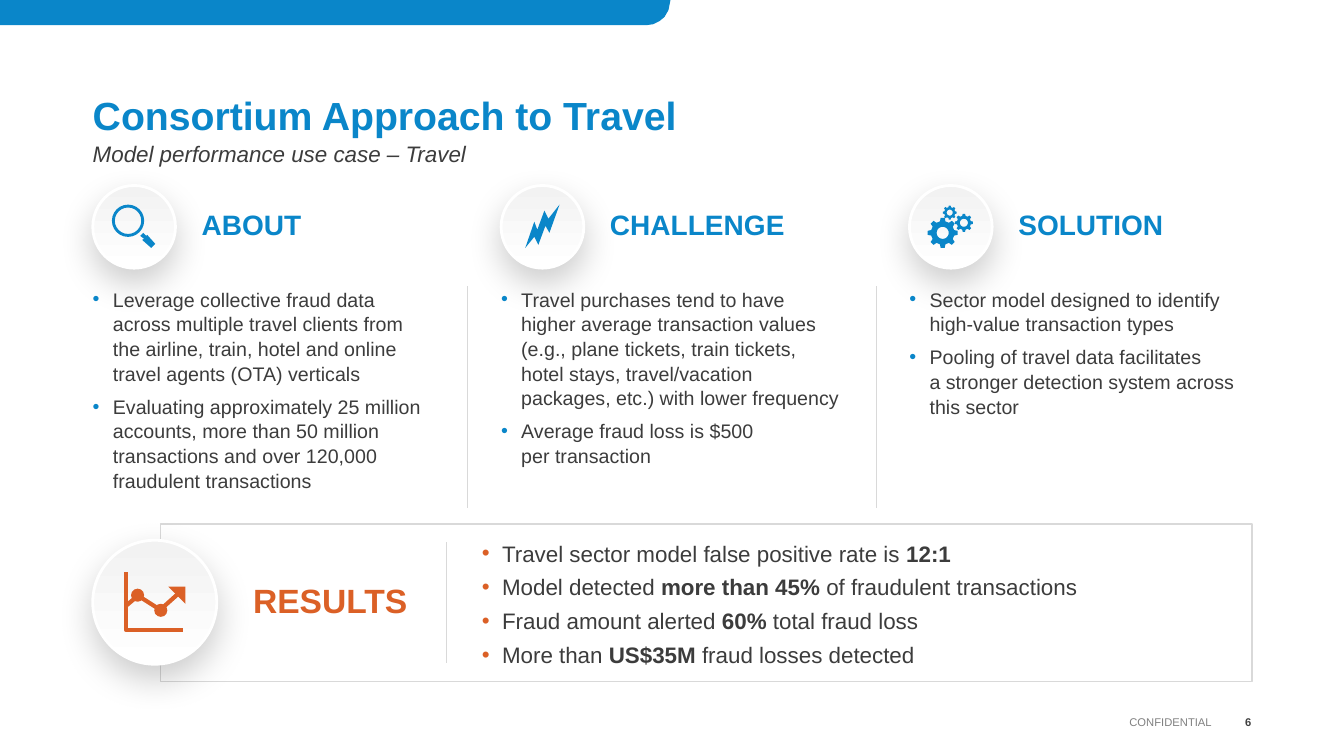
from dataclasses import dataclass
from math import cos, pi, sin

from lxml.etree import SubElement
from pptx import Presentation
from pptx.dml.color import RGBColor as Rgb
from pptx.enum.shapes import MSO_CONNECTOR as Conn, MSO_SHAPE as Kind
from pptx.enum.text import MSO_ANCHOR as Anchor, PP_ALIGN as Align
from pptx.oxml.ns import qn
from pptx.util import Inches, Pt


@dataclass(frozen=True)
class Theme:
    """Colours, type sizes and font of the slide."""
    blue: str = "0A86C9"
    rust: str = "DB6026"
    ink: str = "3C3C3C"
    dark: str = "404040"
    gray: str = "808080"
    rule: str = "D9D9D9"
    pale: str = "F2F2F2"
    white: str = "FFFFFF"
    title: int = 28
    result: int = 24
    head: int = 20
    lead: int = 16
    body: int = 14
    foot: int = 8
    font: str = "Arial"


def put(item, **vals):
    """Set each given value on the item."""
    for name, val in vals.items():
        setattr(item, name, val)


def gear(x, y, size, hole, teeth=8):
    """Return the toothed outline and the round hole of a gear."""
    step = 2 * pi / teeth
    marks = [(-0.3, 0.78), (-0.17, 1), (0.17, 1), (0.3, 0.78)]
    rim = [(x + size * far * cos((n + turn) * step), y + size * far * sin((n + turn) * step))
           for n in range(teeth) for turn, far in marks]
    ring = [(x + hole * cos(n * pi / 12), y - hole * sin(n * pi / 12)) for n in range(24)]
    return [rim, ring]


class Deck:
    """Draws styled elements on the current slide."""

    def __init__(self, theme):
        """Start a deck with one blank slide."""
        self.theme = theme
        self.prs = Presentation()
        put(self.prs, slide_width=Inches(13.33), slide_height=Inches(7.5))
        self.shapes = self.prs.slides.add_slide(self.prs.slide_layouts[6]).shapes

    def paint(self, shape, fill=None, line=None, width=1):
        """Give a shape its fill and line without a shadow."""
        shape.shadow.inherit = False
        if fill:
            shape.fill.solid()
            shape.fill.fore_color.rgb = Rgb.from_string(fill)
        else:
            shape.fill.background()
        if line:
            shape.line.color.rgb = Rgb.from_string(line)
            shape.line.width = Pt(width)
        else:
            shape.line.fill.background()
        return shape

    def form(self, kind, box, **look):
        """Add a preset shape."""
        return self.paint(self.shapes.add_shape(kind, *map(Inches, box)), **look)

    def free(self, rings, close=True, **look):
        """Add an outline made of one or more rings of points."""
        pen = None
        for ring in rings:
            first, *rest = [(Inches(x), Inches(y)) for x, y in ring]
            if pen:
                pen.move_to(*first)
            else:
                pen = self.shapes.build_freeform(*first)
            pen.add_line_segments(rest, close=close)
        return self.paint(pen.convert_to_shape(), **look)

    def rule(self, x, top, low):
        """Add a thin upright line."""
        line = self.shapes.add_connector(Conn.STRAIGHT, *map(Inches, (x, top, x, low)))
        line.line.color.rgb = Rgb.from_string(self.theme.rule)
        line.line.width = Pt(0.5)
        SubElement(line._element.spPr, qn("a:effectLst"))

    def badge(self, x, y, size):
        """Add a soft round badge with a shadow."""
        disc = self.form(Kind.OVAL, (x, y, size, size), line=self.theme.white, width=2)
        disc.fill.gradient()
        disc.fill.gradient_angle = 90
        for stop, tone in zip(disc.fill.gradient_stops, (self.theme.white, self.theme.pale)):
            stop.color.rgb = Rgb.from_string(tone)
        glow = SubElement(disc._element.spPr.find(qn("a:effectLst")), qn("a:outerShdw"),
                          blurRad=str(Pt(25)), dist=str(Pt(10)), dir="5400000",
                          algn="t", rotWithShape="0")
        tint = SubElement(glow, qn("a:srgbClr"), val="000000")
        SubElement(tint, qn("a:alpha"), val="20000")

    def text(self, box, paras, size, tone, bold=False, italic=False, dot=None,
             gap=0, space=1.0, low=0, anchor=Anchor.TOP, align=Align.LEFT):
        """Add text, with bold parts between asterisks."""
        frame = self.shapes.add_textbox(*map(Inches, box)).text_frame
        put(frame, word_wrap=True, vertical_anchor=anchor, margin_left=0,
            margin_right=0, margin_top=0, margin_bottom=Inches(low))
        for num, words in enumerate(paras):
            para = frame.add_paragraph() if num else frame.paragraphs[0]
            put(para, alignment=align, line_spacing=space, space_before=Pt(gap))
            if dot:
                self.bullet(para, dot)
            for odd, part in enumerate(words.split("*")):
                for row, piece in enumerate(part.split("\n")):
                    if row:
                        para.add_line_break()
                        SubElement(para._p[-1], qn("a:rPr"), sz=str(size * 100))
                    if piece:
                        run = para.add_run()
                        run.text = piece
                        put(run.font, name=self.theme.font, size=Pt(size),
                            bold=bold or odd % 2 == 1, italic=italic)
                        run.font.color.rgb = Rgb.from_string(tone)

    def bullet(self, para, tone):
        """Give a paragraph a coloured bullet and a hanging indent."""
        props = para._p.get_or_add_pPr()
        props.set("marL", str(Inches(0.2)))
        props.set("indent", str(-Inches(0.2)))
        SubElement(SubElement(props, qn("a:buClr")), qn("a:srgbClr"), val=tone)
        SubElement(props, qn("a:buFont"), typeface=self.theme.font)
        SubElement(props, qn("a:buChar"), char="•")

    def column(self, x, head, points):
        """Add a badge, its heading and its bullet list."""
        look = self.theme
        self.badge(x, 1.84, 0.82)
        self.text((x + 1.08, 2.05, 2.31, 0.39), [head], look.head, look.blue,
                  bold=True, low=0.05, anchor=Anchor.MIDDLE)
        self.text((x, 2.84, 3.4, 1.97), points, look.body, look.ink,
                  dot=look.blue, gap=6, space=1.05)

    def lens(self):
        """Draw the magnifier icon."""
        ring = self.form(Kind.DONUT, (1.11, 2.03, 0.32, 0.32), fill=self.theme.blue)
        ring.adjustments[0] = 0.09
        self.free([[(1.39, 2.34), (1.42, 2.31), (1.45, 2.34), (1.46, 2.33), (1.54, 2.42),
                    (1.5, 2.46), (1.41, 2.38), (1.43, 2.37)]], fill=self.theme.blue)

    def bolt(self):
        """Draw the lightning icon."""
        self.free([[(5.4, 2.09), (5.33, 2.28), (5.3, 2.2), (5.21, 2.46), (5.3, 2.35),
                    (5.34, 2.43), (5.41, 2.24), (5.45, 2.31), (5.55, 2.03),
                    (5.44, 2.17)]], fill=self.theme.blue)

    def gears(self):
        """Draw the icon of three gears."""
        for spot in ((9.35, 2.31, 0.15, 0.06), (9.56, 2.21, 0.09, 0.04), (9.42, 2.11, 0.07, 0.03)):
            self.free(gear(*spot), fill=self.theme.blue)

    def trend(self):
        """Draw the rising chart icon."""
        rust = self.theme.rust
        for track in ([(1.25, 5.68), (1.25, 6.25), (1.82, 6.25)],
                      [(1.25, 6.01), (1.37, 5.91), (1.59, 6.05), (1.78, 5.88)]):
            self.free([track], close=False, line=rust, width=3)
        for x, y in ((1.3, 5.84), (1.53, 5.99)):
            self.form(Kind.OVAL, (x, y, 0.13, 0.13), fill=rust)
        self.free([[(1.67, 5.82), (1.84, 5.82), (1.84, 5.99)]], fill=rust)


def main():
    """Build the slide and save it."""
    look = Theme()
    deck = Deck(look)
    deck.free([[(0, 0), (6.65, 0), (6.63, 0.1), (6.59, 0.17), (6.54, 0.21),
                (6.48, 0.24), (6.41, 0.25), (0, 0.25)]], fill=look.blue)
    deck.text((0.92, 0.79, 11.5, 0.59), ["Consortium Approach to Travel"], look.title,
              look.blue, bold=True, space=0.9, anchor=Anchor.BOTTOM)
    deck.text((0.92, 1.38, 11.5, 0.39), ["Model performance use case – Travel"],
              look.lead, look.ink, italic=True, space=1.05)

    columns = [
        ("ABOUT", deck.lens, [
            "Leverage collective fraud data across multiple travel clients from\n"
            "the airline, train, hotel and online travel agents (OTA) verticals",
            "Evaluating approximately 25 million accounts, more than 50 million "
            "transactions and over 120,000 fraudulent transactions"]),
        ("CHALLENGE", deck.bolt, [
            "Travel purchases tend to have higher average transaction values "
            "(e.g., plane tickets, train tickets, hotel stays, travel/vacation "
            "packages, etc.) with lower frequency",
            "Average fraud loss is $500\nper transaction"]),
        ("SOLUTION", deck.gears, [
            "Sector model designed to identify high-value transaction types",
            "Pooling of travel data facilitates\na stronger detection system across this sector"]),
    ]
    for num, (head, icon, points) in enumerate(columns):
        x = 0.92 + 4.05 * num
        deck.column(x, head, points)
        icon()
        if num:
            deck.rule(x - 0.33, 2.84, 5.04)

    deck.form(Kind.RECTANGLE, (1.59, 5.2, 10.83, 1.56), fill=look.white, line=look.rule)
    deck.badge(0.92, 5.36, 1.23)
    deck.trend()
    deck.rule(4.43, 5.38, 6.58)
    deck.text((2.51, 5.75, 1.58, 0.45), ["RESULTS"], look.result, look.rust,
              bold=True, low=0.05, anchor=Anchor.MIDDLE)
    deck.text((4.78, 5.36, 7.2, 1.25), [
        "Travel sector model false positive rate is *12:1*",
        "Model detected *more than 45% *of fraudulent transactions",
        "Fraud amount alerted *60% *total fraud loss",
        "More than *US$35M *fraud losses detected",
    ], look.lead, look.ink, dot=look.rust, gap=4, space=1.05, anchor=Anchor.MIDDLE)

    foot = {"anchor": Anchor.MIDDLE, "align": Align.RIGHT}
    deck.text((4.78, 7.06, 7.24, 0.2), ["CONFIDENTIAL"], look.foot, look.gray, **foot)
    deck.text((12.02, 7.06, 0.39, 0.2), ["6"], look.foot, look.dark, bold=True, **foot)
    deck.prs.save("out.pptx")


if __name__ == "__main__":
    main()
